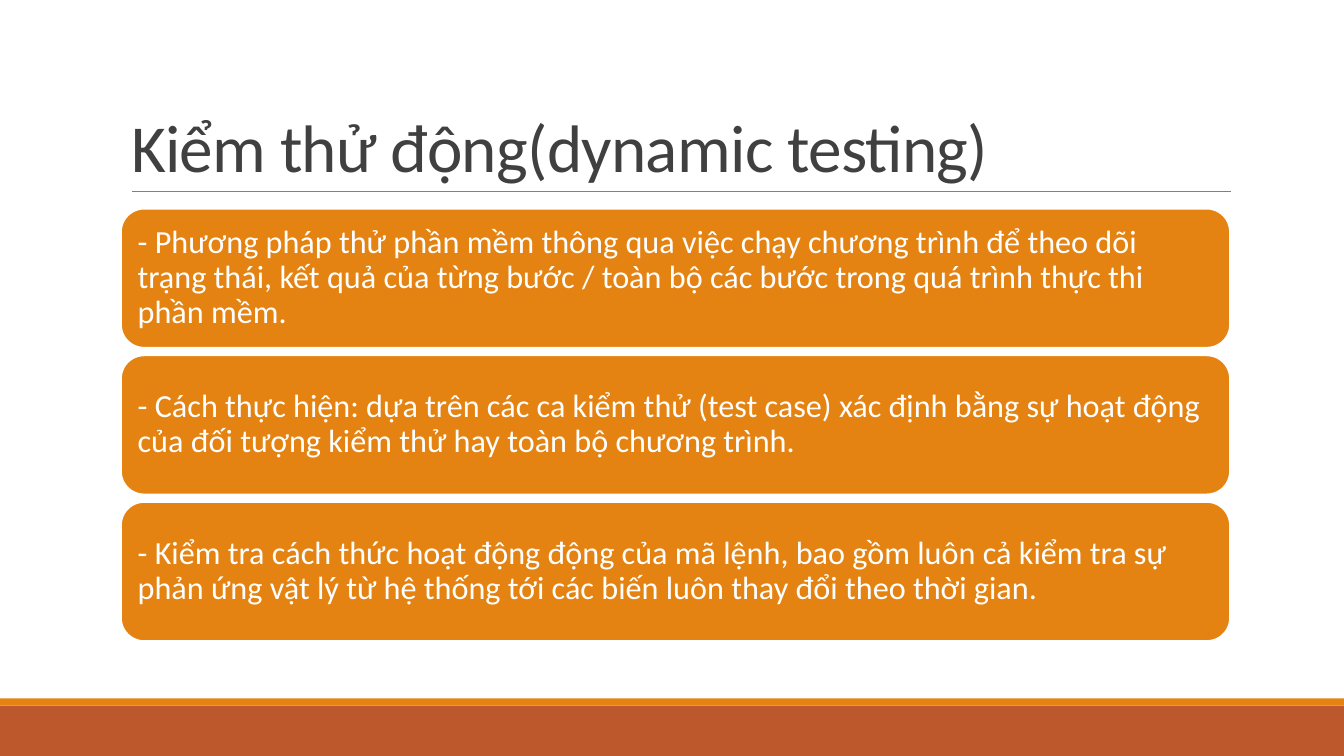
import dataclasses

import pptx
import pptx.dml.color
import pptx.enum.shapes
import pptx.enum.text
import pptx.oxml
import pptx.oxml.ns
import pptx.util

Inches = pptx.util.Inches
Pt = pptx.util.Pt
Shapes = pptx.enum.shapes.MSO_SHAPE
Anchor = pptx.enum.text.MSO_ANCHOR


@dataclasses.dataclass(frozen=True)
class Theme:
    font: str = "Calibri"
    orange: str = "E48312"
    rust: str = "BD582C"
    white: str = "FFFFFF"
    heading: str = "404040"
    rule: str = "808080"
    title_size: float = 48
    card_size: float = 23


THEME = Theme()
TITLE = "Kiểm thử động(dynamic testing)"
CARDS = [
    "- Phương pháp thử phần mềm thông qua việc chạy chương trình để theo dõi "
    "trạng thái, kết quả của từng bước / toàn bộ các bước trong quá trình "
    "thực thi phần mềm.",
    "- Cách thực hiện: dựa trên các ca kiểm thử (test case) xác định bằng sự "
    "hoạt động của đối tượng kiểm thử hay toàn bộ chương trình.",
    "- Kiểm tra cách thức hoạt động động của mã lệnh, bao gồm luôn cả kiểm tra "
    "sự phản ứng vật lý từ hệ thống tới các biến luôn thay đổi theo thời gian.",
]
CARD_TOP = 2.07
CARD_HEIGHT = 1.38
CARD_STEP = 1.455


def rgb(value):
    return pptx.dml.color.RGBColor.from_string(value)


def add_block(page, kind, left, top, width, height, fill, outline=None):
    block = page.shapes.add_shape(
        kind, Inches(left), Inches(top), Inches(width), Inches(height)
    )
    block.shadow.inherit = False
    block.fill.solid()
    block.fill.fore_color.rgb = rgb(fill)
    if outline:
        block.line.color.rgb = rgb(outline)
        block.line.width = Pt(1.25)
    else:
        block.line.fill.background()
    return block


def write_text(box, text, size, color, anchor, line_spacing):
    frame = box.text_frame
    frame.word_wrap = True
    frame.auto_size = pptx.enum.text.MSO_AUTO_SIZE.NONE
    frame.vertical_anchor = anchor
    para = frame.paragraphs[0]
    para.alignment = pptx.enum.text.PP_ALIGN.LEFT
    para.line_spacing = line_spacing
    span = para.add_run()
    span.text = text
    span.font.name = THEME.font
    span.font.size = Pt(size)
    span.font.color.rgb = rgb(color)
    return span


def add_title(page, text):
    box = page.shapes.title
    box.left, box.top = Inches(1.2), Inches(0.31)
    box.width, box.height = Inches(11), Inches(1.59)
    span = write_text(
        box, text, THEME.title_size, THEME.heading, Anchor.BOTTOM, 0.85
    )
    span._r.get_or_add_rPr().set("spc", "-50")


def add_rule(page, left, right, top):
    rule = page.shapes.add_connector(
        pptx.enum.shapes.MSO_CONNECTOR.STRAIGHT,
        Inches(left), Inches(top), Inches(right), Inches(top),
    )
    rule.line.color.rgb = rgb(THEME.rule)
    rule.line.width = Pt(0.5)
    effects = pptx.oxml.parse_xml(
        f"<a:effectLst {pptx.oxml.ns.nsdecls('a')}/>"
    )
    rule._element.spPr.append(effects)


def add_card(page, top, text):
    card = add_block(
        page, Shapes.ROUNDED_RECTANGLE, 1.2, top, 11, CARD_HEIGHT,
        THEME.orange, THEME.white,
    )
    frame = card.text_frame
    frame.margin_left = frame.margin_right = Inches(0.1)
    frame.margin_top = frame.margin_bottom = Inches(0.1)
    write_text(card, text, THEME.card_size, THEME.white, Anchor.MIDDLE, 0.9)


def main():
    deck = pptx.Presentation()
    deck.slide_width, deck.slide_height = Inches(13.33), Inches(7.5)
    page = deck.slides.add_slide(deck.slide_layouts.get_by_name("Title Only"))
    add_block(page, Shapes.RECTANGLE, 0, 7, 13.33, 0.5, THEME.rust)
    add_block(page, Shapes.RECTANGLE, 0, 6.93, 13.33, 0.07, THEME.orange)
    add_rule(page, 1.31, 12.21, 1.9)
    add_title(page, TITLE)
    for index, text in enumerate(CARDS):
        add_card(page, CARD_TOP + index * CARD_STEP, text)
    deck.save("out.pptx")


main()
